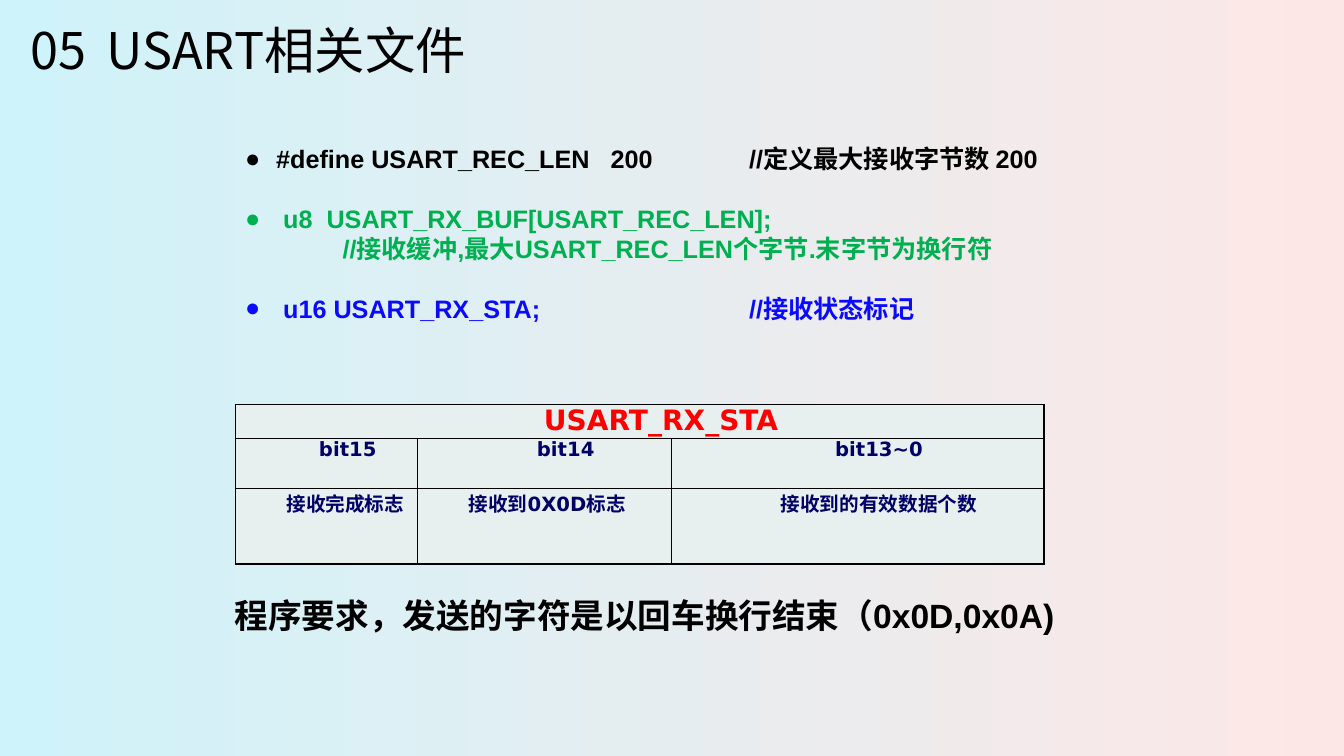
from dataclasses import dataclass

from lxml.etree import SubElement as Sub
from pptx import Presentation
from pptx.dml.color import RGBColor as Rgb
from pptx.enum.text import MSO_AUTO_SIZE as Fit, PP_ALIGN as Align
from pptx.oxml.ns import qn
from pptx.util import Inches, Pt


@dataclass(frozen=True)
class Theme:
    left: str = "CFF3FA"
    right: str = "FDE7E6"
    ink: str = "000000"
    green: str = "00B050"
    blue: str = "0A0AFF"
    red: str = "FF0000"
    navy: str = "000066"
    cell: str = "E7F0EE"
    han: str = "Noto Sans CJK SC"
    body: str = "Arial"
    grid: str = "DejaVu Sans"
    title: int = 36
    foot: int = 24
    code: int = 18
    head: int = 20
    small: int = 14
    gap: int = 21


T = Theme()
WIDE, HIGH = Inches(13.33), Inches(7.5)
COLS, ROWS = 160, 90


def col(n):
    return round(WIDE * n / COLS)


def row(n):
    return round(HIGH * n / ROWS)


def place(box):
    x, y, w, h = box
    return col(x), row(y), col(w), row(h)


def style(para, size, face, tone, bold=False):
    for run in para.runs:
        font = run.font
        font.size, font.name, font.bold = Pt(size), face, bold
        font.color.rgb = Rgb.from_string(tone)
        Sub(font._element, qn("a:ea"), typeface=T.han)


def indent(para, left, first):
    props = para._p.get_or_add_pPr()
    props.set("marL", str(col(left)))
    props.set("indent", str(col(first)))
    return props


def frame(slide, box, wrap=True):
    text = slide.shapes.add_textbox(*place(box)).text_frame
    text.word_wrap = wrap
    text.auto_size = Fit.SHAPE_TO_FIT_TEXT
    return text


def label(slide, box, words, size, face, bold=False, wrap=True):
    text = frame(slide, box, wrap)
    text.text = words
    style(text.paragraphs[0], size, face, T.ink, bold)


def header(slide, box):
    x, y, w, h = box
    num = 9
    label(slide, (x, y, num + 2.8, h), "05", T.title, T.han)
    label(slide, (x + num, y, w - num, h), "USART相关文件", T.title, T.han)


def code(slide, box):
    # words, colour, bullet, gap above
    lines = [
        ("#define USART_REC_LEN   200\t//定义最大接收字节数 200", T.ink, True, 0),
        (" u8  USART_RX_BUF[USART_REC_LEN];", T.green, True, T.gap),
        ("//接收缓冲,最大USART_REC_LEN个字节.末字节为换行符", T.green, False, 0),
        (" u16 USART_RX_STA;\t//接收状态标记", T.blue, True, T.gap),
    ]
    text = frame(slide, box)
    text.margin_right = col(0.6)
    for i, (words, tone, dot, gap) in enumerate(lines):
        para = text.add_paragraph() if i else text.paragraphs[0]
        para.text = words
        if gap:
            para.space_before = Pt(gap)
        if dot:
            props = indent(para, 3.7, -3.7)
            Sub(props, qn("a:buFont"), typeface=T.body)
            Sub(props, qn("a:buChar"), char="●")
            tabs = Sub(props, qn("a:tabLst"))
            Sub(tabs, qn("a:tab"), pos=str(col(60)), algn="l")
        else:
            indent(para, 11.6, 0)
        style(para, T.code, T.body, tone, True)


def border(cell):
    props = cell._tc.get_or_add_tcPr()
    for n, side in enumerate(("lnL", "lnR", "lnT", "lnB")):
        line = props.makeelement(qn("a:" + side), {"w": str(Pt(1))})
        props.insert(n, line)
        fill = Sub(line, qn("a:solidFill"))
        Sub(fill, qn("a:srgbClr"), val=T.ink)


def bits(slide, box):
    data = [
        ("USART_RX_STA", "", ""),
        ("bit15", "bit14", "bit13~0"),
        ("接收完成标志", "接收到0X0D标志", "接收到的有效数据个数"),
    ]
    table = slide.shapes.add_table(3, 3, *place(box)).table
    table.first_row = table.horz_banding = False
    for c, n in zip(table.columns, (21.7, 30.2, 44.4)):
        c.width = col(n)
    for r, n in zip(table.rows, (4, 5.95, 9)):
        r.height = row(n)
    table.cell(0, 0).merge(table.cell(0, 2))
    for i, words in enumerate(data):
        for j, word in enumerate(words):
            cell = table.cell(i, j)
            cell.margin_left = cell.margin_right = col(1)
            cell.margin_top = cell.margin_bottom = 0
            cell.fill.solid()
            cell.fill.fore_color.rgb = Rgb.from_string(T.cell)
            border(cell)
            if not word:
                continue
            cell.text = word
            para = cell.text_frame.paragraphs[0]
            indent(para, 3.4, 1.7)
            para.alignment = Align.LEFT if i == 2 and j < 2 else Align.CENTER
            size, tone = (T.small, T.navy) if i else (T.head, T.red)
            style(para, size, T.grid, tone, True)


def ground(slide):
    fill = slide.background.fill
    fill.gradient()
    fill.gradient_angle = 0
    for stop, tone in zip(fill.gradient_stops, (T.left, T.right)):
        stop.color.rgb = Rgb.from_string(tone)


def main():
    deck = Presentation()
    deck.slide_width, deck.slide_height = WIDE, HIGH
    slide = deck.slides.add_slide(deck.slide_layouts[6])
    ground(slide)
    header(slide, (2.5, 1.7, 66.4, 8.5))
    bits(slide, (28, 48.2, 96.3, 18.95))
    label(slide, (26.75, 70.2, 101.4, 6.1),
          "程序要求，发送的字符是以回车换行结束（0x0D,0x0A)",
          T.foot, T.body, True, False)
    code(slide, (28, 16.5, 96.4, 26.6))
    deck.save("out.pptx")


if __name__ == "__main__":
    main()
